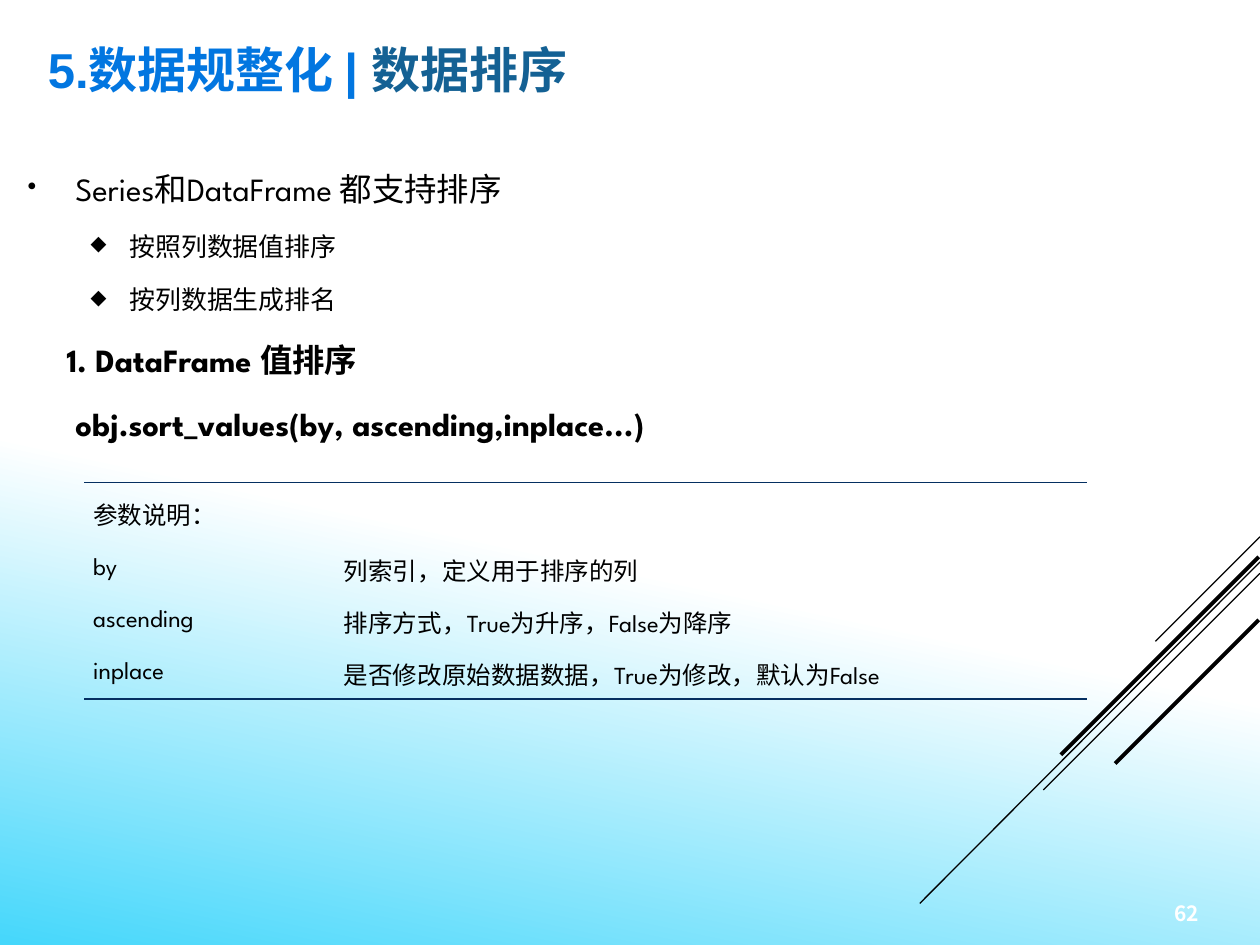
from lxml import etree
from pptx import Presentation
from pptx.dml.color import RGBColor
from pptx.enum.shapes import MSO_CONNECTOR
from pptx.enum.text import MSO_ANCHOR, PP_ALIGN
from pptx.oxml.ns import qn
from pptx.util import Inches, Pt

STRAIGHT = MSO_CONNECTOR.STRAIGHT
MIDDLE, TOP = MSO_ANCHOR.MIDDLE, MSO_ANCHOR.TOP
LEFT, JUSTIFY = PP_ALIGN.LEFT, PP_ALIGN.JUSTIFY

THEME = {
    "text": "000000", "white": "FFFFFF", "sky": "45D7FB",
    "title": "0276E0", "topic": "146194", "rule": "052F61",
    "title_font": "Arial", "body_font": "League Spartan", "number_font": "Noto Sans CJK SC",
    "title_size": 28, "body_size": 18.5, "sub_size": 14.8, "table_size": 14, "number_size": 12,
}
NO_STYLE_TABLE = "{2D5ABB26-0587-4C30-8999-92F81FD0307C}"

TITLE = [("5.数据规整化 | ", "title"), ("数据排序", "topic")]
BODY = [
    ("Series和DataFrame 都支持排序", "point"),
    ("按照列数据值排序", "sub"),
    ("按列数据生成排名", "sub"),
    ("1. DataFrame 值排序", "heading"),
    ("obj.sort_values(by, ascending,inplace...)", "code"),
]
BODY_STYLES = {
    "point": {"size": "body_size", "line": 27, "margin": 0.38, "hanging": 0.38, "bullet": "•"},
    "sub": {"size": "sub_size", "line": 21.4, "margin": 0.81, "hanging": 0.31, "bullet": "◆"},
    "heading": {"size": "body_size", "line": 27, "margin": 0.31, "bold": True},
    "code": {"size": "body_size", "line": 27, "margin": 0.38, "bold": True},
}
PARAMETERS = [
    ("参数说明：", ""),
    ("by", "列索引，定义用于排序的列"),
    ("ascending", "排序方式，True为升序，False为降序"),
    ("inplace", "是否修改原始数据数据，True为修改，默认为False"),
]
COLUMN_WIDTHS = [1.99, 5.97]
ROW_HEIGHTS = [0.49, 0.41, 0.41, 0.41]
DIAGONALS = [
    (10, 4.26, 9.17, 5.09, 0.75),
    (10, 4.46, 7.3, 7.17, 0.75),
    (10, 4.55, 8.28, 6.27, 0.75),
    (9.99, 4.42, 8.42, 5.99, 2.25),
    (9.99, 4.92, 8.85, 6.06, 2.25),
]


def color(name):
    return RGBColor.from_string(THEME[name])


def set_font(font, face, size, shade, bold=False):
    font.name, font.size, font.bold = THEME[face], Pt(THEME[size]), bold
    font.color.rgb = color(shade)


def add_background(slide):
    fill = slide.background.fill
    fill.gradient()
    fill.gradient_angle = 360 - 102
    for stop, shade, position in zip(fill.gradient_stops, ("white", "sky"), (0.58, 1)):
        stop.color.rgb = color(shade)
        stop.position = position


def add_diagonals(slide):
    for *ends, width in DIAGONALS:
        line = slide.shapes.add_connector(STRAIGHT, *map(Inches, ends))
        line.line.color.rgb = color("text")
        line.line.width = Pt(width)
        etree.SubElement(line._element.spPr, qn("a:effectLst"))


def add_title(slide):
    title = slide.shapes.title
    title.left, title.top, title.width, title.height = map(Inches, (0.28, 0.01, 8.58, 0.98))
    title.text_frame.vertical_anchor = MIDDLE
    paragraph = title.text_frame.paragraphs[0]
    paragraph.alignment = LEFT
    paragraph.line_spacing = 1.2
    for text, shade in TITLE:
        run = paragraph.add_run()
        run.text = text
        set_font(run.font, "title_font", "title_size", shade, True)


def add_text_box(slide, left, top, width, height):
    frame = slide.shapes.add_textbox(*map(Inches, (left, top, width, height))).text_frame
    frame.word_wrap = True
    frame.vertical_anchor = TOP
    return frame


def add_body(slide):
    frame = add_text_box(slide, 0.12, 1.23, 9.69, 2.4)
    for index, (text, kind) in enumerate(BODY):
        style = BODY_STYLES[kind]
        paragraph = frame.add_paragraph() if index else frame.paragraphs[0]
        paragraph.text = text
        paragraph.line_spacing = Pt(style["line"])
        paragraph.space_before = Pt(THEME[style["size"]] * 0.2 if index else 0)
        paragraph.space_after = Pt(6)
        properties = paragraph._p.get_or_add_pPr()
        properties.set("marL", str(Inches(style["margin"])))
        properties.set("indent", str(-Inches(style.get("hanging", 0))))
        if "bullet" in style:
            etree.SubElement(properties, qn("a:buSzPct"), val="80000")
            etree.SubElement(properties, qn("a:buChar"), char=style["bullet"])
        set_font(paragraph.font, "body_font", style["size"], "text", style.get("bold", False))


def add_border(cell, side):
    border = etree.Element(qn(f"a:{side}"), w=str(Pt(1)))
    fill = etree.SubElement(border, qn("a:solidFill"))
    etree.SubElement(fill, qn("a:srgbClr"), val=THEME["rule"])
    cell._tc.get_or_add_tcPr().insert(0, border)


def add_parameter_table(slide):
    size = map(Inches, (0.67, 3.83, sum(COLUMN_WIDTHS), sum(ROW_HEIGHTS)))
    table = slide.shapes.add_table(len(PARAMETERS), len(COLUMN_WIDTHS), *size).table
    table.first_row = table.horz_banding = False
    table._tbl.tblPr.find(qn("a:tableStyleId")).text = NO_STYLE_TABLE
    for column, width in zip(table.columns, COLUMN_WIDTHS):
        column.width = Inches(width)
    for row, height, texts in zip(table.rows, ROW_HEIGHTS, PARAMETERS):
        row.height = Inches(height)
        for cell, text in zip(row.cells, texts):
            cell.text = text
            cell.fill.background()
            cell.vertical_anchor = MIDDLE
            cell.margin_left = cell.margin_right = Inches(0.07)
            cell.margin_top = cell.margin_bottom = 0
            paragraph = cell.text_frame.paragraphs[0]
            paragraph.alignment = JUSTIFY
            set_font(paragraph.font, "body_font", "table_size", "text")
    for row_index, side in ((0, "lnT"), (len(PARAMETERS) - 1, "lnB")):
        for cell in table.rows[row_index].cells:
            add_border(cell, side)


def add_slide_number(slide):
    paragraph = add_text_box(slide, 9.22, 7.1, 0.7, 0.31).paragraphs[0]
    paragraph.text = "62"
    set_font(paragraph.font, "number_font", "number_size", "white", True)


def main():
    presentation = Presentation()
    presentation.slide_width, presentation.slide_height = Inches(10), Inches(7.5)
    slide = presentation.slides.add_slide(presentation.slide_layouts[5])
    add_background(slide)
    add_diagonals(slide)
    add_title(slide)
    add_body(slide)
    add_parameter_table(slide)
    add_slide_number(slide)
    presentation.save("out.pptx")


if __name__ == "__main__":
    main()
